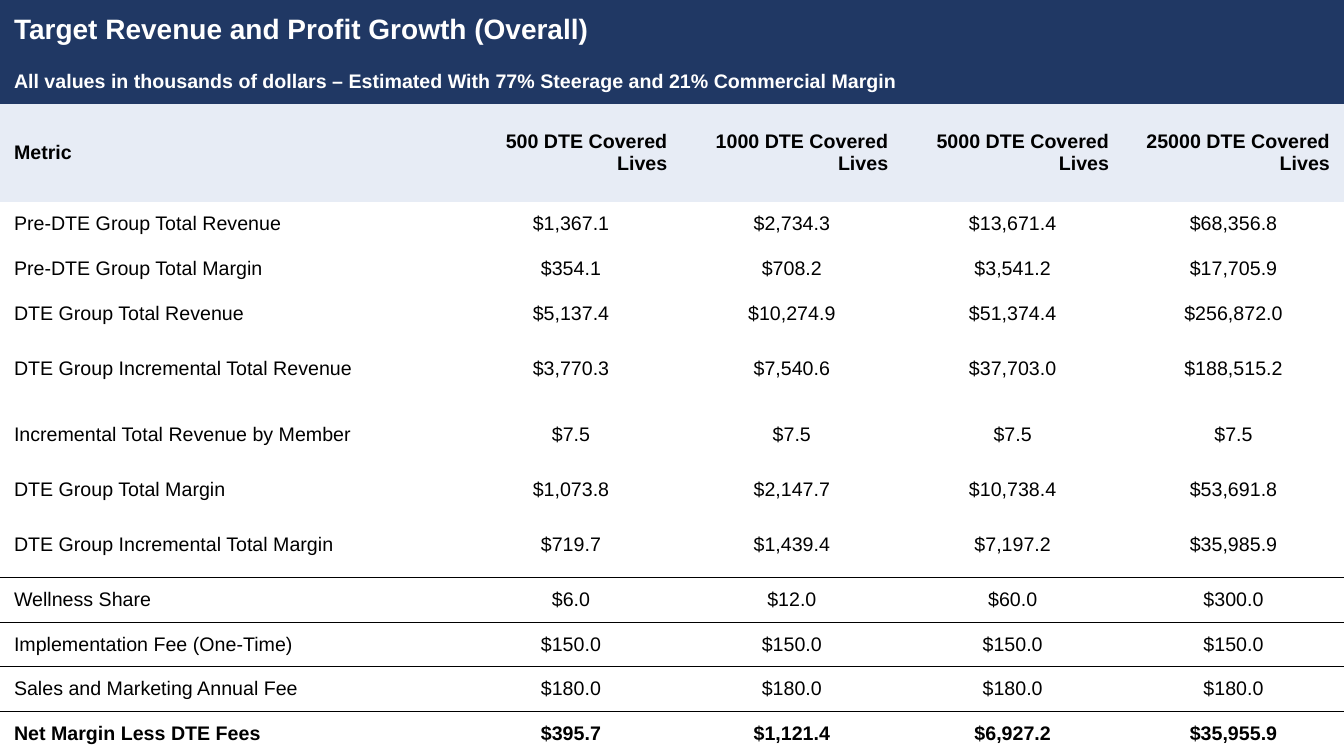
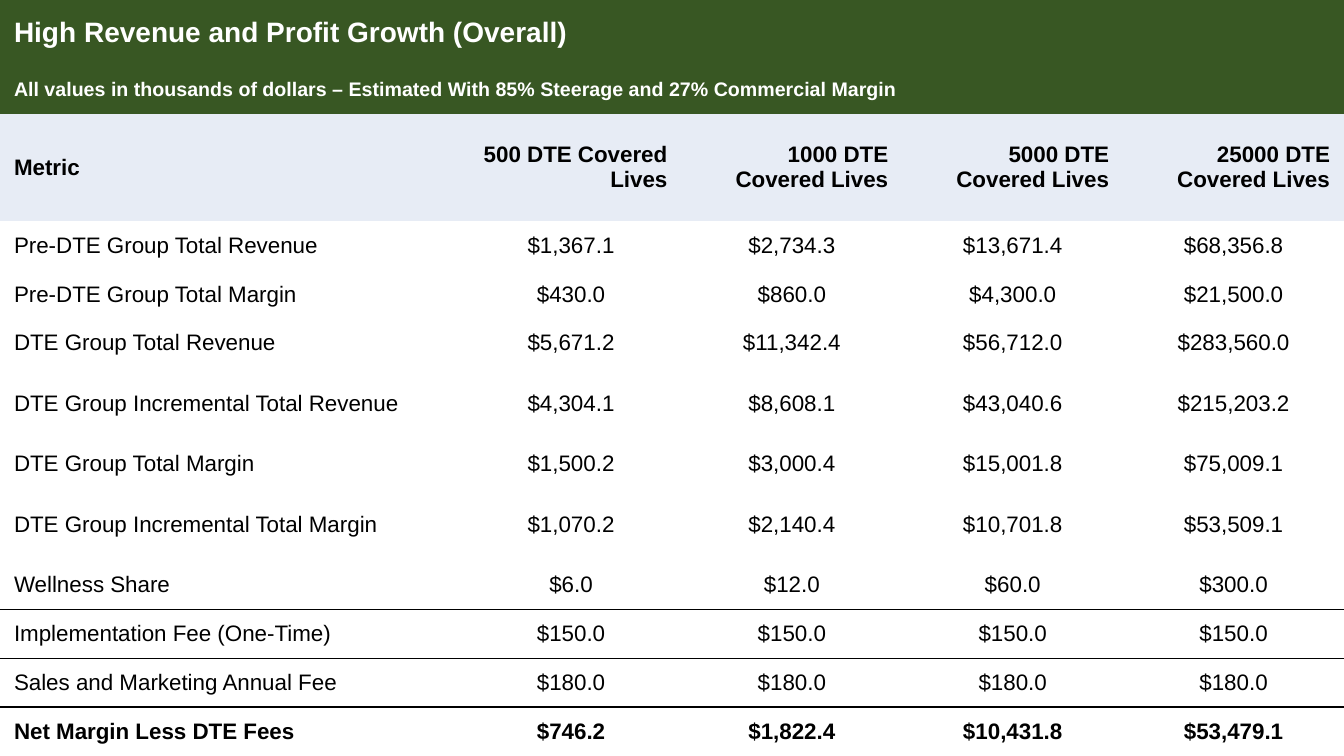
from lxml.etree import SubElement
from pptx import Presentation
from pptx.dml.color import RGBColor
from pptx.enum.text import MSO_ANCHOR, PP_ALIGN
from pptx.oxml import parse_xml
from pptx.oxml.ns import nsdecls
from pptx.util import Pt

NAVY = RGBColor(0x20, 0x38, 0x64)
GREEN = RGBColor(0x38, 0x57, 0x23)
PALE = RGBColor(0xE7, 0xEC, 0xF5)
WHITE = RGBColor(0xFF, 0xFF, 0xFF)
BLACK = RGBColor(0, 0, 0)
FONT = "Arial"
NO_STYLE = "{2D5ABB26-0587-4C30-8999-92F81FD0307C}"

WIDTH, HEIGHT = 960, 540
METRIC_WIDTH = 329
INDENT = 10
TITLE_RATIO, HEADER_RATIO, TALL_RATIO = 4 / 3, 2.2, 1.48

HEADERS = ["Metric"] + [f"{lives} DTE Covered Lives" for lives in (500, 1000, 5000, 25000)]
PRE_REVENUE = ("Pre-DTE Group Total Revenue", "$1,367.1", "$2,734.3", "$13,671.4", "$68,356.8")
WELLNESS = ("Wellness Share", "$6.0", "$12.0", "$60.0", "$300.0")
IMPLEMENTATION = ("Implementation Fee (One-Time)",) + ("$150.0",) * 4
MARKETING = ("Sales and Marketing Annual Fee",) + ("$180.0",) * 4
FEES = [WELLNESS, IMPLEMENTATION, MARKETING]

SCENARIOS = [
    {
        "title": "Target Revenue and Profit Growth (Overall)",
        "subtitle": "All values in thousands of dollars – Estimated With 77% Steerage and 21% Commercial Margin",
        "band": NAVY,
        "size": 14,
        "ruled": ("DTE Group Incremental Total Margin", IMPLEMENTATION[0]),
        "rows": [
            PRE_REVENUE,
            ("Pre-DTE Group Total Margin", "$354.1", "$708.2", "$3,541.2", "$17,705.9"),
            ("DTE Group Total Revenue", "$5,137.4", "$10,274.9", "$51,374.4", "$256,872.0"),
            ("DTE Group Incremental Total Revenue", "$3,770.3", "$7,540.6", "$37,703.0", "$188,515.2"),
            ("Incremental Total Revenue by Member",) + ("$7.5",) * 4,
            ("DTE Group Total Margin", "$1,073.8", "$2,147.7", "$10,738.4", "$53,691.8"),
            ("DTE Group Incremental Total Margin", "$719.7", "$1,439.4", "$7,197.2", "$35,985.9"),
            *FEES,
            ("Net Margin Less DTE Fees", "$395.7", "$1,121.4", "$6,927.2", "$35,955.9"),
        ],
    },
    {
        "title": "High Revenue and Profit Growth (Overall)",
        "subtitle": "All values in thousands of dollars – Estimated With 85% Steerage and 27% Commercial Margin",
        "band": GREEN,
        "size": 16,
        "ruled": (WELLNESS[0], MARKETING[0]),
        "rows": [
            PRE_REVENUE,
            ("Pre-DTE Group Total Margin", "$430.0", "$860.0", "$4,300.0", "$21,500.0"),
            ("DTE Group Total Revenue", "$5,671.2", "$11,342.4", "$56,712.0", "$283,560.0"),
            ("DTE Group Incremental Total Revenue", "$4,304.1", "$8,608.1", "$43,040.6", "$215,203.2"),
            ("DTE Group Total Margin", "$1,500.2", "$3,000.4", "$15,001.8", "$75,009.1"),
            ("DTE Group Incremental Total Margin", "$1,070.2", "$2,140.4", "$10,701.8", "$53,509.1"),
            *FEES,
            ("Net Margin Less DTE Fees", "$746.2", "$1,822.4", "$10,431.8", "$53,479.1"),
        ],
    },
]


def write_cell(cell, text, size, color=BLACK, bold=False, align=PP_ALIGN.LEFT, fill=None):
    cell.margin_left = cell.margin_right = cell.margin_top = cell.margin_bottom = 0
    cell.vertical_anchor = MSO_ANCHOR.MIDDLE
    if fill is None:
        cell.fill.background()
    else:
        cell.fill.solid()
        cell.fill.fore_color.rgb = fill
    para = cell.text_frame.paragraphs[0]
    para.alignment = align
    properties = para._p.get_or_add_pPr()
    for side in ("marL", "marR"):
        properties.set(side, str(Pt(INDENT)))
    properties.set("indent", "0")
    span = para.add_run()
    span.text = text
    span.font.name = FONT
    span.font.size = Pt(size)
    span.font.bold = bold
    span.font.color.rgb = color


def add_border(cell, side):
    line = parse_xml(f'<a:{side} {nsdecls("a")} w="{Pt(1)}"><a:solidFill>'
                     f'<a:srgbClr val="{BLACK}"/></a:solidFill></a:{side}>')
    cell._tc.get_or_add_tcPr().insert(0, line)


def row_heights(rows):
    ratios = [TITLE_RATIO, 1, HEADER_RATIO]
    ratios += [TALL_RATIO if "Incremental" in row[0] else 1 for row in rows]
    return [HEIGHT * ratio / sum(ratios) for ratio in ratios]


def add_plain_table(page, heights):
    frame = page.shapes.add_table(len(heights), len(HEADERS), 0, 0, Pt(WIDTH), Pt(HEIGHT))
    table = frame.table
    table.first_row = table.horz_banding = False
    table._tbl.tblPr.find("{*}tableStyleId").text = NO_STYLE
    value_width = (WIDTH - METRIC_WIDTH) / (len(HEADERS) - 1)
    for index, column in enumerate(table.columns):
        column.width = Pt(value_width if index else METRIC_WIDTH)
    for row, height in zip(table.rows, heights):
        row.height = Pt(height)
    return table


def add_scenario(deck, scenario):
    page = deck.slides.add_slide(deck.slide_layouts[6])
    rows, size = scenario["rows"], scenario["size"]
    table = add_plain_table(page, row_heights(rows))
    last_column = len(HEADERS) - 1
    for index, (key, band_size) in enumerate((("title", 20), ("subtitle", 14))):
        table.cell(index, 0).merge(table.cell(index, last_column))
        write_cell(table.cell(index, 0), scenario[key], band_size, WHITE, True, fill=scenario["band"])
    for column, text in enumerate(HEADERS):
        align = PP_ALIGN.RIGHT if column else PP_ALIGN.LEFT
        write_cell(table.cell(2, column), text, size, bold=True, align=align, fill=PALE)
    for index, row in enumerate(rows, start=3):
        for column, text in enumerate(row):
            align = PP_ALIGN.CENTER if column else PP_ALIGN.LEFT
            write_cell(table.cell(index, column), text, size, bold=row is rows[-1], align=align)
            if row[0] in scenario["ruled"]:
                add_border(table.cell(index, column), "lnB")
                add_border(table.cell(index + 1, column), "lnT")


def main():
    deck = Presentation()
    deck.slide_width, deck.slide_height = Pt(WIDTH), Pt(HEIGHT)
    for scenario in SCENARIOS:
        add_scenario(deck, scenario)
    deck.save("out.pptx")


if __name__ == "__main__":
    main()
